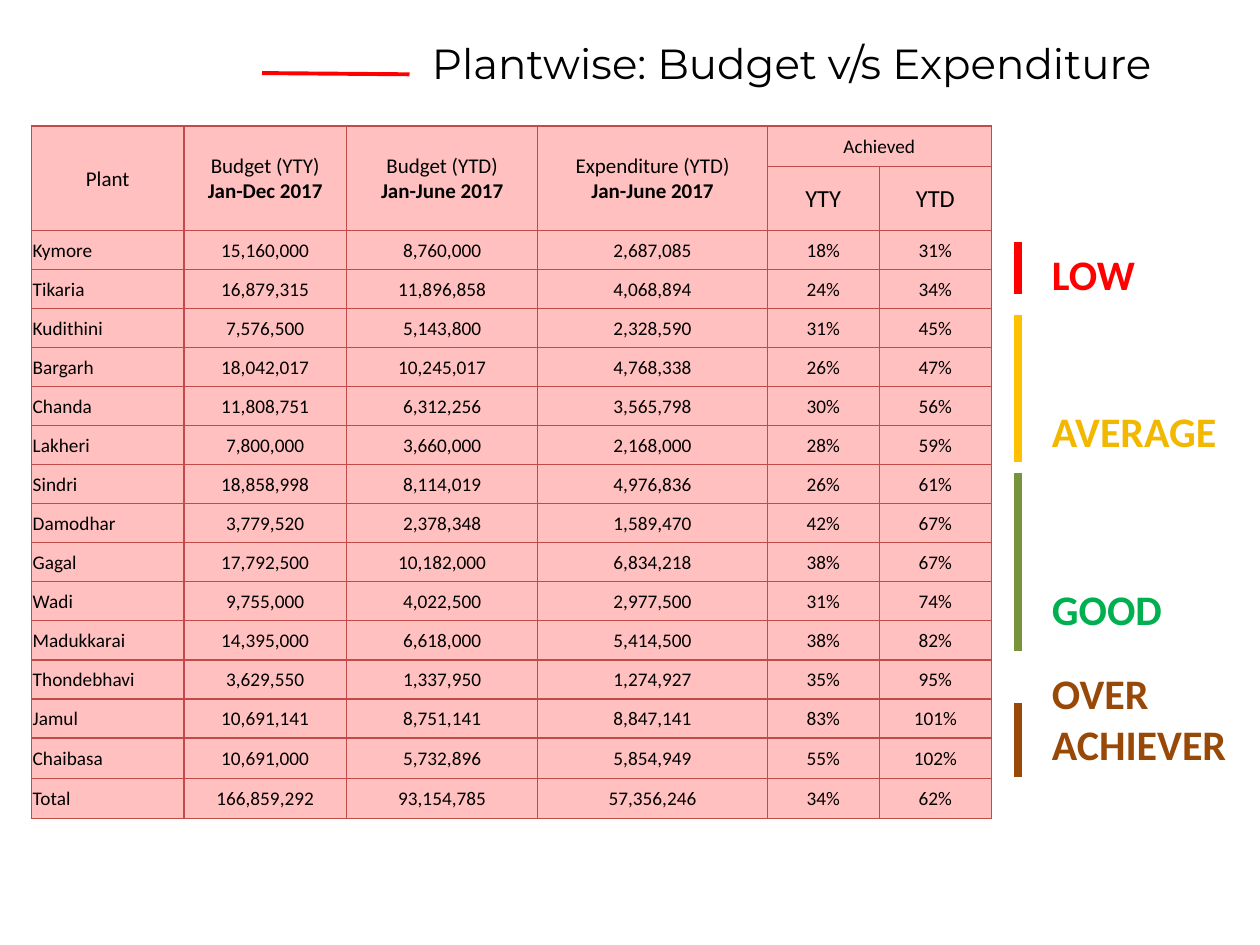
from lxml import etree
from pptx import Presentation
from pptx.dml.color import RGBColor
from pptx.enum import shapes, text
from pptx.oxml.ns import qn
from pptx.util import Inches, Pt

BLACK = RGBColor(0x00, 0x00, 0x00)
RED = RGBColor(0xFF, 0x00, 0x00)
AMBER = RGBColor(0xFF, 0xC0, 0x00)
GOLD = RGBColor(0xF2, 0xB8, 0x00)
OLIVE = RGBColor(0x77, 0x93, 0x3C)
GREEN = RGBColor(0x00, 0xB0, 0x50)
BROWN = RGBColor(0x98, 0x48, 0x07)
PINK = RGBColor(0xFF, 0xC0, 0xBF)
BORDER = RGBColor(0xBF, 0x4C, 0x48)

COLUMN_WIDTHS = [1.21, 1.29, 1.52, 1.82, 0.89, 0.89]
ROW_HEIGHTS = [0.32, 0.51] + [0.31] * 13 + [0.32] * 2

# Header cells: row, column, last row, last column, size, lines
HEADERS = [
    (0, 0, 1, 0, 12, ["Plant"]),
    (0, 1, 1, 1, 12, ["Budget (YTY)", "Jan-Dec 2017"]),
    (0, 2, 1, 2, 12, ["Budget (YTD)", "Jan-June 2017"]),
    (0, 3, 1, 3, 12, ["Expenditure (YTD)", "Jan-June 2017"]),
    (0, 4, 0, 5, 11, ["Achieved"]),
    (1, 4, 1, 4, 14, ["YTY"]),
    (1, 5, 1, 5, 14, ["YTD"]),
]

PLANTS = [
    ("Kymore", "15,160,000", "8,760,000", "2,687,085", "18%", "31%"),
    ("Tikaria", "16,879,315", "11,896,858", "4,068,894", "24%", "34%"),
    ("Kudithini", "7,576,500", "5,143,800", "2,328,590", "31%", "45%"),
    ("Bargarh", "18,042,017", "10,245,017", "4,768,338", "26%", "47%"),
    ("Chanda", "11,808,751", "6,312,256", "3,565,798", "30%", "56%"),
    ("Lakheri", "7,800,000", "3,660,000", "2,168,000", "28%", "59%"),
    ("Sindri", "18,858,998", "8,114,019", "4,976,836", "26%", "61%"),
    ("Damodhar", "3,779,520", "2,378,348", "1,589,470", "42%", "67%"),
    ("Gagal", "17,792,500", "10,182,000", "6,834,218", "38%", "67%"),
    ("Wadi", "9,755,000", "4,022,500", "2,977,500", "31%", "74%"),
    ("Madukkarai", "14,395,000", "6,618,000", "5,414,500", "38%", "82%"),
    ("Thondebhavi", "3,629,550", "1,337,950", "1,274,927", "35%", "95%"),
    ("Jamul", "10,691,141", "8,751,141", "8,847,141", "83%", "101%"),
    ("Chaibasa", "10,691,000", "5,732,896", "5,854,949", "55%", "102%"),
    ("Total", "166,859,292", "93,154,785", "57,356,246", "34%", "62%"),
]

# Rating bands: bar top, bar bottom, bar colour, label, top, width, height, colour
RATINGS = [
    (1.92, 2.33, RED, "LOW", 1.92, 1.42, 0.5, RED),
    (2.5, 3.67, AMBER, "AVERAGE", 3.17, 1.75, 0.5, GOLD),
    (3.75, 5.17, OLIVE, "GOOD", 4.58, 1.42, 0.5, GREEN),
    (5.58, 6.17, BROWN, "OVER ACHIEVER", 5.25, 1.75, 0.91, BROWN),
]


def set_attributes(target, values):
    for name, value in values.items():
        setattr(target, name, value)


def add_run(paragraph, words, size, color=BLACK, bold=False, font="Calibri"):
    run = paragraph.add_run()
    run.text = words
    set_attributes(run.font, {"name": font, "size": Pt(size), "bold": bold})
    run.font.color.rgb = color


def add_label(slide, words, left, top, width, height, **style):
    box = slide.shapes.add_textbox(
        Inches(left), Inches(top), Inches(width), Inches(height))
    box.text_frame.word_wrap = True
    add_run(box.text_frame.paragraphs[0], words, 24, **style)


def add_line(slide, start, end, color, width):
    line = slide.shapes.add_connector(
        shapes.MSO_CONNECTOR.STRAIGHT, *map(Inches, start + end))
    line.line.color.rgb = color
    line.line.width = Pt(width)
    etree.SubElement(line._element.spPr, qn("a:effectLst"))


def style_cell(cell):
    set_attributes(cell, {
        "vertical_anchor": text.MSO_ANCHOR.MIDDLE,
        "margin_left": Inches(0.01), "margin_right": Inches(0.01),
        "margin_top": Inches(0.01), "margin_bottom": 0,
    })
    properties = cell._tc.get_or_add_tcPr()
    for side in ("a:lnL", "a:lnR", "a:lnT", "a:lnB"):
        edge = etree.SubElement(properties, qn(side), w=str(Pt(0.75)))
        fill = etree.SubElement(edge, qn("a:solidFill"))
        etree.SubElement(fill, qn("a:srgbClr"), val=str(BORDER))
    cell.fill.solid()
    cell.fill.fore_color.rgb = PINK


def write_cell(cell, lines, size, alignment=text.PP_ALIGN.CENTER):
    paragraph = cell.text_frame.paragraphs[0]
    paragraph.alignment = alignment
    for index, line in enumerate(lines):
        if index:
            paragraph.add_line_break()
        add_run(paragraph, line, size, bold=index > 0)


def add_budget_table(slide):
    table = slide.shapes.add_table(
        len(ROW_HEIGHTS), len(COLUMN_WIDTHS), Inches(0.25), Inches(1),
        Inches(sum(COLUMN_WIDTHS)), Inches(sum(ROW_HEIGHTS))).table
    set_attributes(table, {"first_row": False, "horz_banding": False})
    for column, width in zip(table.columns, COLUMN_WIDTHS):
        column.width = Inches(width)
    for row, height in zip(table.rows, ROW_HEIGHTS):
        row.height = Inches(height)
    for cell in table.iter_cells():
        style_cell(cell)

    # Header rows
    for row, column, last_row, last_column, size, lines in HEADERS:
        cell = table.cell(row, column)
        if (row, column) != (last_row, last_column):
            cell.merge(table.cell(last_row, last_column))
        write_cell(cell, lines, size)

    # Plant rows
    for row, values in enumerate(PLANTS, start=2):
        for column, value in enumerate(values):
            alignment = text.PP_ALIGN.CENTER if column else text.PP_ALIGN.JUSTIFY
            write_cell(table.cell(row, column), [value], 11, alignment)


def main():
    presentation = Presentation()
    presentation.slide_width = Inches(10)
    presentation.slide_height = Inches(7.5)
    slide = presentation.slides.add_slide(presentation.slide_layouts[6])

    # Title with its red rule
    add_label(slide, "Plantwise: Budget v/s Expenditure", 3.33, 0.25, 7, 0.5,
              font="Montserrat")
    add_line(slide, (2.08, 0.58), (3.25, 0.59), RED, 2.25)

    # Rating bars and labels
    for start, end, bar_color, words, top, width, height, color in RATINGS:
        add_line(slide, (8.08, start), (8.08, end), bar_color, 4.5)
        add_label(slide, words, 8.25, top, width, height, color=color, bold=True)

    add_budget_table(slide)
    presentation.save("out.pptx")


if __name__ == "__main__":
    main()
